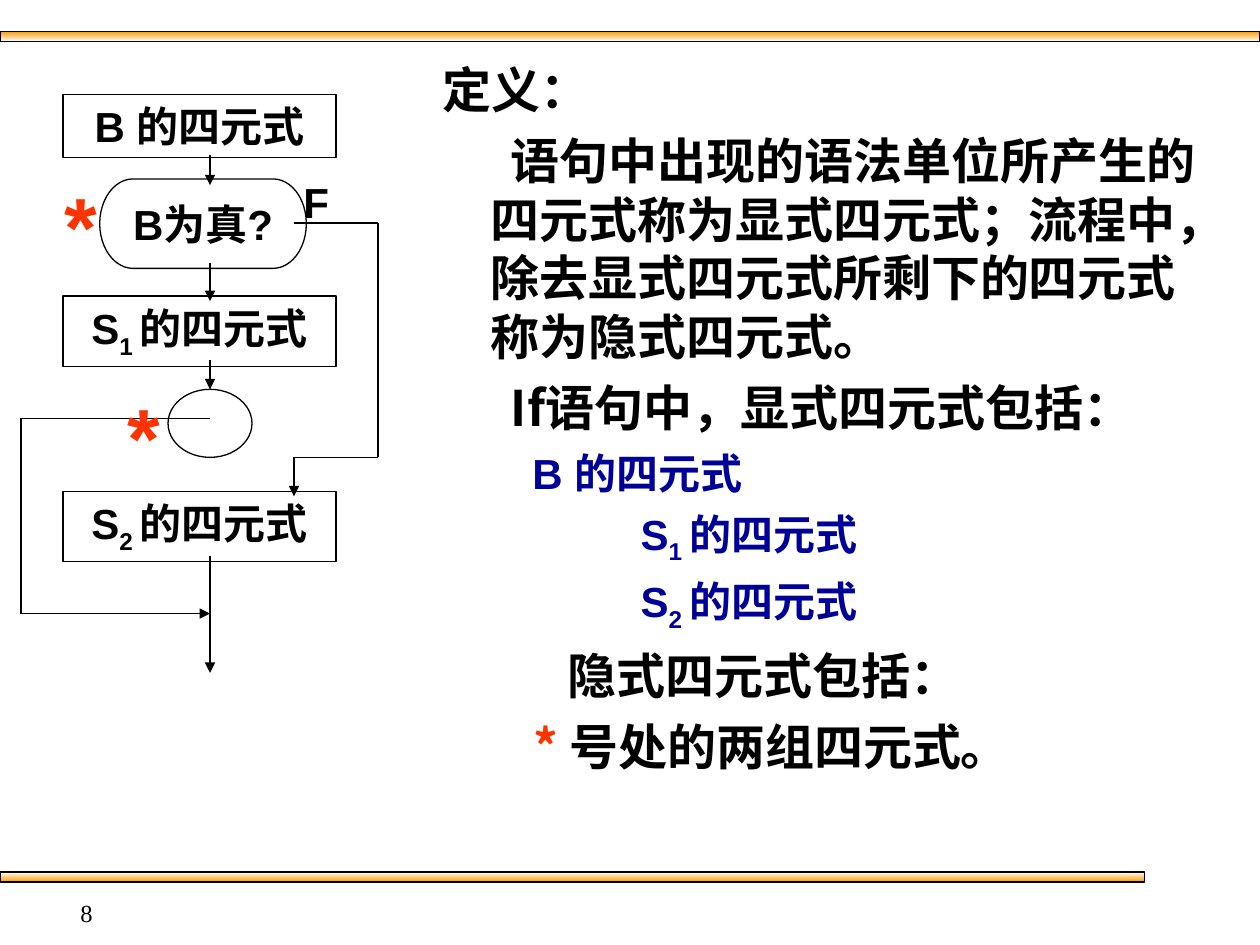
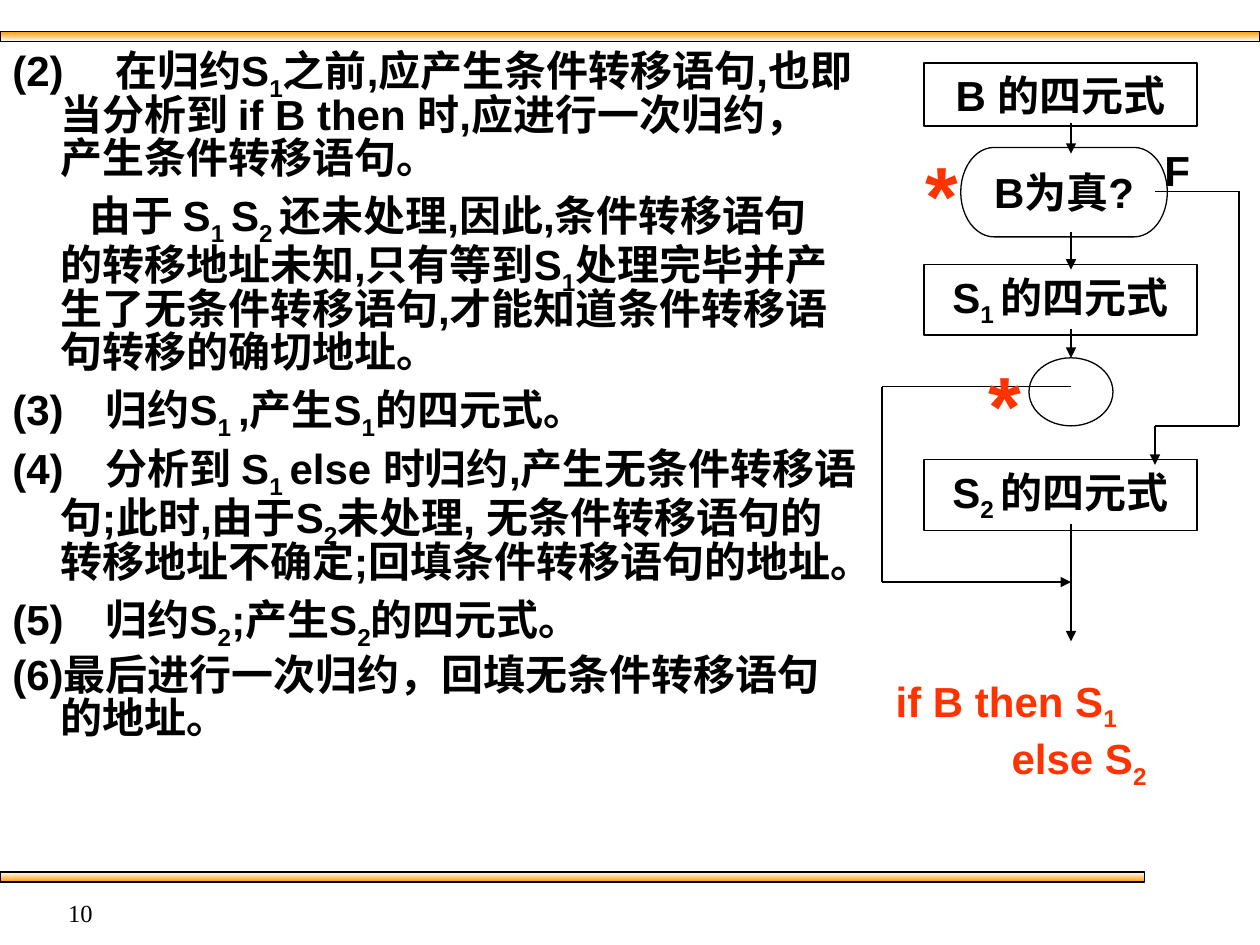
from pptx import Presentation
from pptx.dml.color import RGBColor
from pptx.enum.shapes import MSO_CONNECTOR, MSO_SHAPE
from pptx.enum.text import MSO_ANCHOR, PP_ALIGN
from pptx.oxml.ns import qn
from pptx.util import Inches, Pt
from lxml import etree

BLACK = RGBColor(0x00, 0x00, 0x00)
WHITE = RGBColor(0xFF, 0xFF, 0xFF)
ORANGE = RGBColor(0xFF, 0x99, 0x00)
RED = RGBColor(0xFF, 0x33, 0x00)
BLUE = RGBColor(0x00, 0x00, 0x99)

SANS, CJK, SERIF = "Arial", "Noto Sans CJK SC", "Times New Roman"
RECT, OVAL = MSO_SHAPE.RECTANGLE, MSO_SHAPE.OVAL
TERMINATOR = MSO_SHAPE.FLOWCHART_TERMINATOR
STRAIGHT = MSO_CONNECTOR.STRAIGHT
LEFT, CENTER, RIGHT = PP_ALIGN.LEFT, PP_ALIGN.CENTER, PP_ALIGN.RIGHT
MIDDLE = MSO_ANCHOR.MIDDLE

prs = Presentation()
prs.slide_width, prs.slide_height = Inches(10), Inches(7.5)
COL = prs.slide_width / 60
ROW = prs.slide_height / 75
HANG = 0.38  # inches

NORMAL = {"size": Pt(24), "name": SANS, "bold": True}
LARGE = {"size": Pt(28), "name": CJK, "bold": True}
STAR = {"size": Pt(48), "name": SANS, "bold": True}
PAGE = {"size": Pt(14), "name": SERIF, "bold": False}


def grid(x, y, w, h):
    return int(x * COL), int(y * ROW), int(w * COL), int(h * ROW)


def add_run(p, text, fmt, color, subscript=False):
    r = p.add_run()
    r.text = text
    for key, value in fmt.items():
        setattr(r.font, key, value)
    r.font.color.rgb = color
    rpr = r.font._element
    rpr.find(qn("a:latin")).addnext(
        etree.Element(qn("a:ea"), typeface=CJK))
    if subscript:
        rpr.set("baseline", "-25000")


def write(p, text, fmt=NORMAL, color=BLACK):
    """Write text in which _ sets the next character as a subscript."""
    head, *tails = text.split("_")
    if head:
        add_run(p, head, fmt, color)
    for tail in tails:
        cut = 2 if tail[1:2] == " " else 1
        add_run(p, tail[:cut], fmt, color, subscript=True)
        if tail[cut:]:
            add_run(p, tail[cut:], fmt, color)


def indent(p, first, margin=HANG):
    """Start the first line and the other lines at these inches."""
    ppr = p._p.get_or_add_pPr()
    ppr.set("marL", str(Inches(margin)))
    ppr.set("indent", str(Inches(first - margin)))


def add_text(shapes, box, text="", fmt=NORMAL, color=BLACK, align=LEFT, wrap=True):
    tf = shapes.add_textbox(*grid(*box)).text_frame
    tf.word_wrap = wrap
    p = tf.paragraphs[0]
    p.alignment = align
    if text:
        write(p, text, fmt, color)
    return tf


def next_paragraph(tf, number, before):
    if number == 0:
        return tf.paragraphs[0]
    p = tf.add_paragraph()
    p.space_before = Pt(before)
    return p


def add_node(shapes, kind, box, text="", fill=None, wrap=True):
    s = shapes.add_shape(kind, *grid(*box))
    s.shadow.inherit = False
    if fill is None:
        s.fill.background()
    else:
        s.fill.solid()
        s.fill.fore_color.rgb = fill
    s.line.color.rgb, s.line.width = BLACK, Pt(0.75)
    tf = s.text_frame
    tf.word_wrap, tf.vertical_anchor = wrap, MIDDLE
    if text:
        tf.paragraphs[0].alignment = CENTER
        write(tf.paragraphs[0], text)
    return s


def add_line(shapes, start, end, arrow=False):
    ends = [int(v) for x, y in (start, end) for v in (x * COL, y * ROW)]
    c = shapes.add_connector(STRAIGHT, *ends)
    c.line.color.rgb, c.line.width = BLACK, Pt(0.75)
    if arrow:
        etree.SubElement(c.line._get_or_add_ln(), qn("a:tailEnd"), type="triangle")
    etree.SubElement(c._element.spPr, qn("a:effectLst"))
    return c


def add_flowchart(slide, left, top):
    """Draw the if-statement flow with its corner at a grid column and row."""
    shapes = slide.shapes.add_group_shape().shapes
    axis, branch, far = left + 9, left + 13, left + 17

    for y, h, text in ((0, 5, "B 的四元式"), (16, 5.6, "S_1 的四元式"),
                       (31.5, 5.6, "S_2 的四元式")):
        add_node(shapes, RECT, (left + 2, top + y, 13, h), text)
    add_node(shapes, TERMINATOR, (left + 3.75, top + 6.7, 9.84, 7.1),
             "B为真?", WHITE, wrap=False)
    circle = add_node(shapes, OVAL, (left + 7, top + 23.4, 4, 5.4), fill=WHITE)

    arrows = [add_line(shapes, (x, top + y1), (x, top + y2), arrow=True)
              for x, y1, y2 in ((axis, 4.8, 7.2), (axis, 13.4, 16.4),
                                (axis, 21.1, 23.4), (branch, 28.8, 31.9),
                                (axis, 36.6, 45.9))]
    arrows[2].end_connect(circle, 0)

    false_path = [(branch, 10.2), (far, 10.2), (far, 28.8), (branch, 28.8)]
    exit_path = [(axis, 25.7), (left, 25.7), (left, 41.2), (axis, 41.2)]
    for points, arrow in ((false_path, False), (exit_path, True)):
        points = [(x, top + y) for x, y in points]
        for i in range(3):
            add_line(shapes, points[i], points[i + 1], arrow and i == 2)

    add_text(shapes, (left + 12.86, top + 6, 2.46, 5), "F", wrap=False)
    for x, y in ((1.5, 5.8), (4.5, 22.5)):
        add_text(shapes, (left + x, top + y, 4.4, 9), "*", STAR, RED)


def add_definition(slide, box):
    tf = add_text(slide.shapes, box)
    lines = (
        (0, LARGE, ("定义：", BLACK)),
        (0.54, LARGE, ("语句中出现的语法单位所产生的四元式称为显式四元式；流程中，"
                       "除去显式四元式所剩下的四元式称为隐式四元式。", BLACK)),
        (0.54, LARGE, ("If语句中，显式四元式包括：", BLACK)),
        (0.71, NORMAL, ("B 的四元式", BLUE)),
        (1.57, NORMAL, ("S_1 的四元式", BLUE)),
        (1.57, NORMAL, ("S_2 的四元式", BLUE)),
        (0.99, LARGE, ("隐式四元式包括：", BLACK)),
        (0.72, LARGE, ("* ", RED), ("号处的两组四元式。", BLACK)),
    )
    for i, (first, fmt, *runs) in enumerate(lines):
        p = next_paragraph(tf, i, 7 if fmt is LARGE else 6)
        indent(p, first)
        for text, color in runs:
            write(p, text, fmt, color)


def add_steps(slide, box):
    tf = add_text(slide.shapes, box)
    steps = (
        (0, "(2)　 在归约S_1之前,应产生条件转移语句,也即当分析到 if B then 时,"
            "应进行一次归约，　产生条件转移语句。"),
        (0.61, "由于 S_1 S_2 还未处理,因此,条件转移语句　的转移地址未知,只有等到S_1"
               "处理完毕并产生了无条件转移语句,才能知道条件转移语句转移的确切地址。"),
        (0, "(3)　归约S_1 ,产生S_1的四元式。"),
        (0, "(4)　分析到 S_1 else 时归约,产生无条件转移语句;此时,由于S_2未处理, "
            "无条件转移语句的转移地址不确定;回填条件转移语句的地址。"),
        (0, "(5)　归约S_2;产生S_2的四元式。"),
        (0, "(6)最后进行一次归约，回填无条件转移语句的地址。"),
    )
    for i, (first, text) in enumerate(steps):
        p = next_paragraph(tf, i, 6)
        p.line_spacing = 0.85
        indent(p, first)
        write(p, text)


def add_statement(slide, box):
    tf = add_text(slide.shapes, box, "if B then S_1", color=RED)
    p = next_paragraph(tf, 1, 0)
    indent(p, 0.92, 0.92)
    write(p, "else S_2", color=RED)


def add_base_slide(number):
    """Add a blank slide with both bands and its page number."""
    slide = prs.slides.add_slide(prs.slide_layouts[6])
    for box, colors in (((0, 2.5, 60, 0.8), (ORANGE, WHITE)),
                        ((0, 69.2, 54.5, 0.8), (WHITE, ORANGE))):
        band = add_node(slide.shapes, RECT, box)
        band.fill.gradient()
        band.fill.gradient_angle = 270
        for stop, color in zip(band.fill.gradient_stops, colors):
            stop.color.rgb = color
    add_text(slide.shapes, (0, 70.8, 5, 2.5), number, PAGE, align=RIGHT)
    return slide


def main():
    slide = add_base_slide("8")
    add_definition(slide, (20.5, 4.2, 38, 63.3))
    add_flowchart(slide, 1, 7.5)

    slide = add_base_slide("10")
    add_steps(slide, (0, 3.3, 41.5, 65.8))
    add_flowchart(slide, 42, 5)
    add_statement(slide, (42.06, 53.1, 15.06, 10.1))

    prs.save("out.pptx")


if __name__ == "__main__":
    main()
